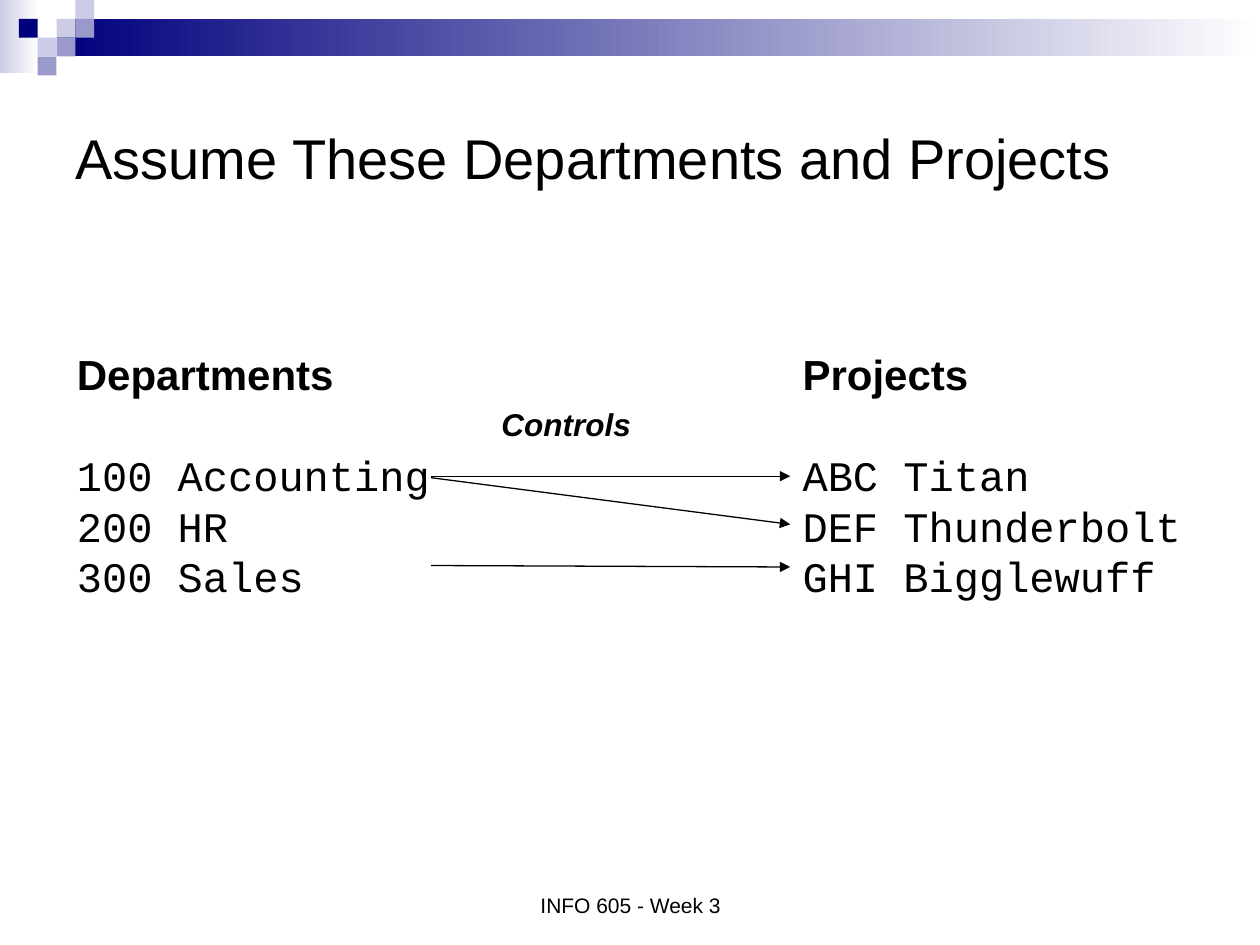
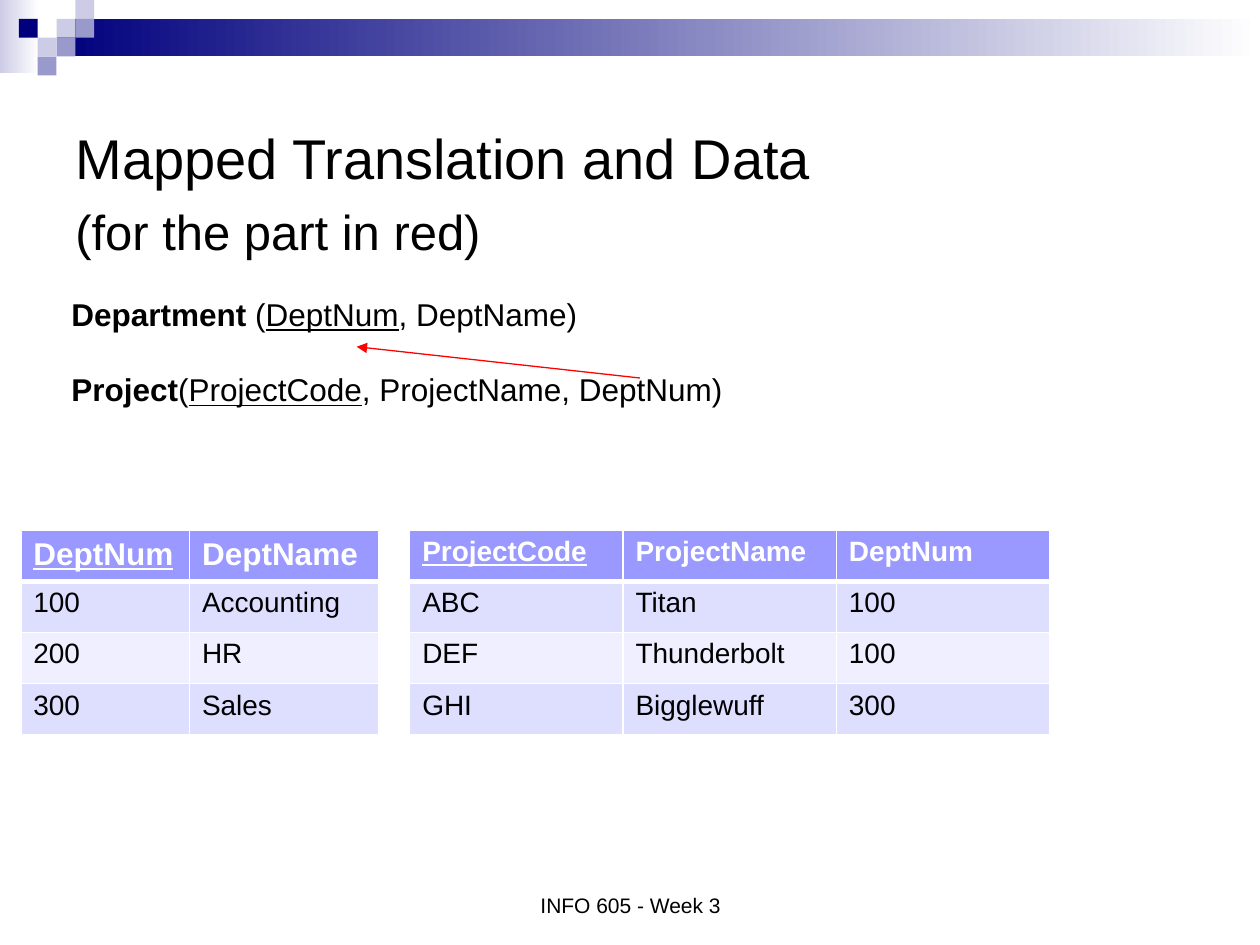
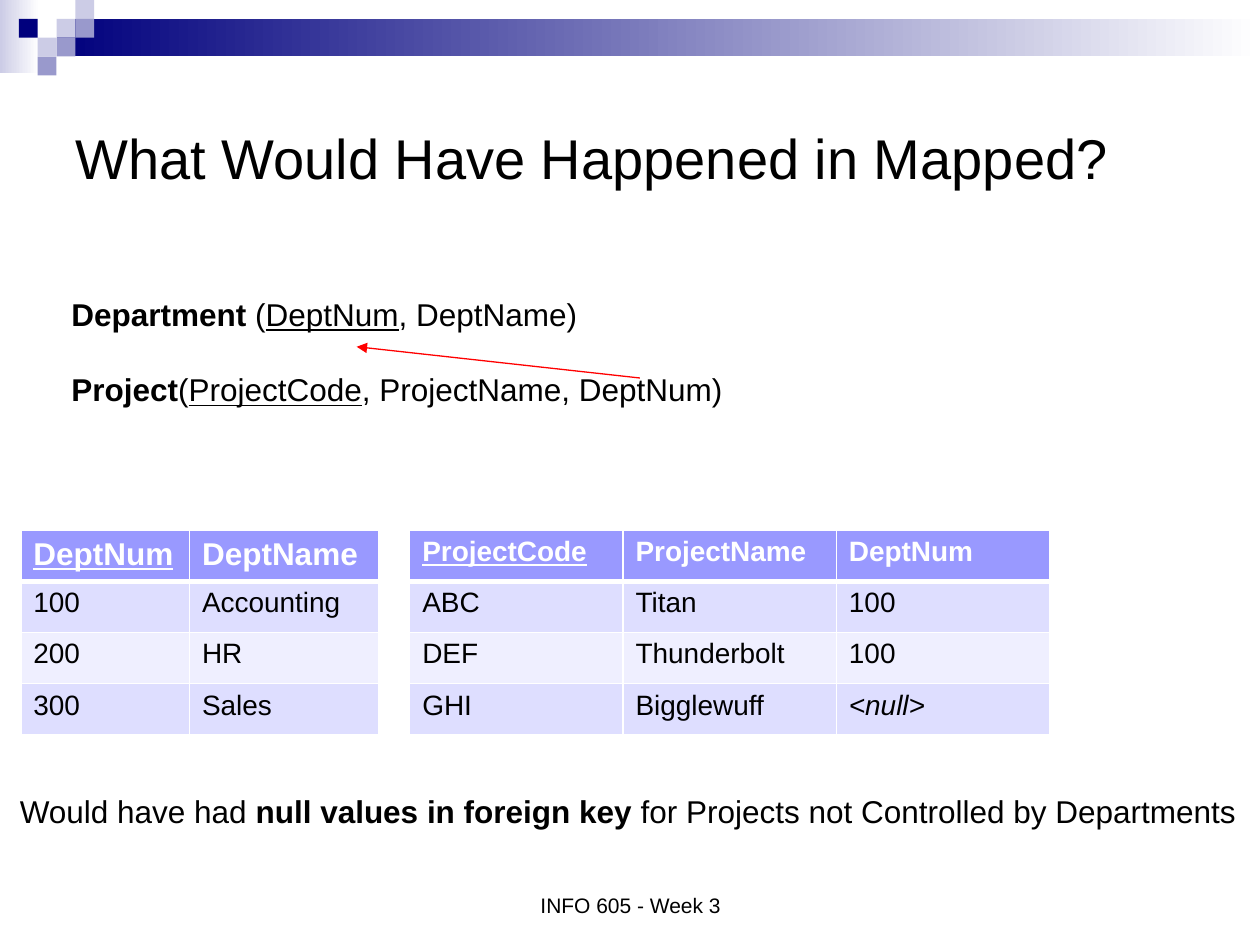
from dataclasses import dataclass

import pptx
import pptx.dml.color
import pptx.enum.shapes
import pptx.enum.text
import pptx.oxml
import pptx.oxml.ns
import pptx.util
from pptx.util import Cm


@dataclass(frozen=True)
class Theme:
    """Colours, fonts and type sizes shared by the slides."""

    black: str = "000000"
    white: str = "FFFFFF"
    red: str = "FF0000"
    navy: str = "00007D"
    pale: str = "CCCCE6"
    middle: str = "9999CC"
    header: str = "9999FF"
    stripes: tuple = ("DEDEFF", "EFEFFF")
    sans: str = "Arial"
    mono: str = "Courier New"
    title: int = 32
    subtitle: int = 28
    listing: int = 24
    text: int = 18
    cell: int = 16
    footer: int = 12
    line: float = 0.75
    line_height: float = 1.2


THEME = Theme()
ANCHOR = pptx.enum.text.MSO_ANCHOR
SQUARE = 0.38
SQUARES = (
    (3, 1, THEME.pale),
    (4, 0, THEME.pale),
    (4, 1, THEME.middle),
    (2, 2, THEME.pale),
    (1, 1, THEME.navy),
    (3, 2, THEME.middle),
    (2, 3, THEME.middle),
)
DEPARTMENTS = (("100", "Accounting"), ("200", "HR"), ("300", "Sales"))
PROJECTS = (("ABC", "Titan"), ("DEF", "Thunderbolt"), ("GHI", "Bigglewuff"))


def rgb(colour):
    """Turn a hex string into a colour."""
    return pptx.dml.color.RGBColor.from_string(colour)


def add_run(paragraph, text, size, style="", font=THEME.sans, colour=THEME.black):
    """Add a run; style holds any of the letters b, i and u."""
    run = paragraph.add_run()
    run.text = text
    run.font.name = font
    run.font.size = pptx.util.Pt(size)
    run.font.color.rgb = rgb(colour)
    run.font.bold = "b" in style
    run.font.italic = "i" in style
    run.font.underline = "u" in style


def add_text(slide, left, top, width, height, size, lines, anchor=ANCHOR.TOP, centred=False):
    """Add a text box of lines, each a gap flag and a list of run arguments."""
    frame = slide.shapes.add_textbox(Cm(left), Cm(top), Cm(width), Cm(height)).text_frame
    frame.word_wrap = True
    frame.vertical_anchor = anchor
    for index, (gap, runs) in enumerate(lines):
        paragraph = frame.add_paragraph() if index else frame.paragraphs[0]
        paragraph.line_spacing = pptx.util.Pt(size * THEME.line_height)
        if gap:
            paragraph.space_before = paragraph.line_spacing
        if centred:
            paragraph.alignment = pptx.enum.text.PP_ALIGN.CENTER
        for text, *look in runs:
            add_run(paragraph, text, size, *look)


def add_rectangle(slide, left, top, width, height, colour, fade=False):
    """Add a plain rectangle, optionally fading to white on the right."""
    shape = slide.shapes.add_shape(
        pptx.enum.shapes.MSO_SHAPE.RECTANGLE, Cm(left), Cm(top), Cm(width), Cm(height)
    )
    shape.shadow.inherit = False
    shape.line.fill.background()
    if fade:
        shape.fill.gradient()
        shape.fill.gradient_angle = 0
        for stop, position, tint in zip(shape.fill.gradient_stops, (0, 1), (colour, THEME.white)):
            stop.position = position
            stop.color.rgb = rgb(tint)
    else:
        shape.fill.solid()
        shape.fill.fore_color.rgb = rgb(colour)


def add_arrow(slide, start_x, start_y, end_x, end_y, colour=THEME.black):
    """Add a thin straight arrow."""
    connector = slide.shapes.add_connector(
        pptx.enum.shapes.MSO_CONNECTOR.STRAIGHT, Cm(start_x), Cm(start_y), Cm(end_x), Cm(end_y)
    )
    connector.line.color.rgb = rgb(colour)
    connector.line.width = pptx.util.Pt(THEME.line)
    tail = pptx.oxml.parse_xml(f'<a:tailEnd {pptx.oxml.ns.nsdecls("a")} type="triangle"/>')
    connector.line._get_or_add_ln().append(tail)
    effects = pptx.oxml.parse_xml(f'<a:effectLst {pptx.oxml.ns.nsdecls("a")}/>')
    connector._element.spPr.append(effects)


def add_borders(cell, row):
    """Draw white cell borders, thick between the header and the first row."""
    widths = {"L": 1, "R": 1, "T": 3 if row == 1 else 1, "B": 3 if row == 0 else 1}
    properties = cell._tc.get_or_add_tcPr()
    for side, width in widths.items():
        properties.append(
            pptx.oxml.parse_xml(
                f'<a:ln{side} {pptx.oxml.ns.nsdecls("a")} w="{pptx.util.Pt(width)}">'
                f'<a:solidFill><a:srgbClr val="{THEME.white}"/></a:solidFill></a:ln{side}>'
            )
        )


def add_table(slide, left, widths, header_size, rows):
    """Add a striped table whose first column heading is the underlined key."""
    top, row_height = 10.69, 1.03
    table = slide.shapes.add_table(
        len(rows), len(widths), Cm(left), Cm(top), Cm(sum(widths)), Cm(row_height * len(rows))
    ).table
    for column, width in zip(table.columns, widths):
        column.width = Cm(width)
    for row, values in enumerate(rows):
        table.rows[row].height = Cm(row_height)
        for column, value in enumerate(values):
            cell = table.cell(row, column)
            add_borders(cell, row)
            cell.fill.solid()
            paragraph = cell.text_frame.paragraphs[0]
            if row == 0:
                cell.fill.fore_color.rgb = rgb(THEME.header)
                style = "b" if column else "bu"
                add_run(paragraph, value, header_size, style, colour=THEME.white)
            else:
                cell.fill.fore_color.rgb = rgb(THEME.stripes[(row - 1) % 2])
                add_run(paragraph, value, THEME.cell, "i" if value == "<null>" else "")


def add_slide(presentation, title):
    """Add a slide with its corner pattern, band, title and footer."""
    slide = presentation.slides.add_slide(presentation.slide_layouts[6])
    add_rectangle(slide, 0, 0, 0.79, 1.47, THEME.pale, fade=True)
    band_left = 3 * SQUARE
    add_rectangle(slide, band_left, SQUARE, 25.4 - band_left, 2 * SQUARE, THEME.navy, fade=True)
    for column, row, colour in SQUARES:
        add_rectangle(slide, column * SQUARE, row * SQUARE, SQUARE, SQUARE, colour)
    add_text(slide, 1.27, 1.27, 22.86, 3.81, THEME.title, [(False, [(title,)])], ANCHOR.MIDDLE)
    footer = [(False, [("INFO 605 - Week 3",)])]
    add_text(slide, 8.69, 17.35, 8.05, 1.27, THEME.footer, footer, ANCHOR.BOTTOM, centred=True)
    return slide


def add_listing(slide, left, width, heading, records):
    """Add a bold heading over fixed-width records."""
    lines = [(False, [(heading, "b")])]
    for index, record in enumerate(records):
        lines.append((index == 0, [(" ".join(record), "", THEME.mono)]))
    add_text(slide, left, 6.91, width, 5.38, THEME.listing, lines)


def add_schema(slide, owners):
    """Add both relations, the foreign key arrow and the data tables."""
    department = [("Department", "b"), (" (",), ("DeptNum", "u"), (", DeptName)",)]
    project = [("Project", "b"), ("(",), ("ProjectCode", "u"), (", ProjectName, DeptNum)",)]
    add_text(slide, 1.19, 5.82, 14.5, 3.33, THEME.text, [(False, department), (True, project)])
    add_arrow(slide, 12.9, 7.62, 7.19, 6.99, THEME.red)
    add_table(slide, 0.42, (3.4, 3.81), THEME.text, [("DeptNum", "DeptName"), *DEPARTMENTS])
    projects = [(*project, owner) for project, owner in zip(PROJECTS, owners)]
    headings = ("ProjectCode", "ProjectName", "DeptNum")
    add_table(slide, 8.26, (4.3,) * 3, THEME.cell, [headings, *projects])


def main():
    """Build the three slides and save them."""
    presentation = pptx.Presentation()
    presentation.slide_width = Cm(25.4)
    presentation.slide_height = Cm(19.05)

    slide = add_slide(presentation, "Assume These Departments and Projects")
    add_listing(slide, 1.3, 8, "Departments", DEPARTMENTS)
    add_listing(slide, 15.93, 8.6, "Projects", PROJECTS)
    for start_y, end_y in ((9.6, 9.6), (9.63, 10.57), (11.4, 11.43)):
        add_arrow(slide, 8.69, start_y, 15.93, end_y)
    add_text(slide, 9.86, 8.05, 3.5, 1.02, THEME.text, [(False, [("Controls", "bi")])])

    slide = add_slide(presentation, "Mapped Translation and Data")
    subtitle = [(False, [("(for the part in red)",)])]
    add_text(slide, 1.27, 3.94, 23.29, 2.54, THEME.subtitle, subtitle)
    add_schema(slide, ("100", "100", "300"))

    slide = add_slide(presentation, "What Would Have Happened in Mapped?")
    add_schema(slide, ("100", "100", "<null>"))
    note = [
        ("Would have had ",),
        ("null values in foreign key ", "b"),
        ("for Projects not Controlled by Departments",),
    ]
    add_text(slide, 0.15, 15.85, 25.25, 1.02, THEME.text, [(False, note)])

    presentation.save("out.pptx")


if __name__ == "__main__":
    main()
